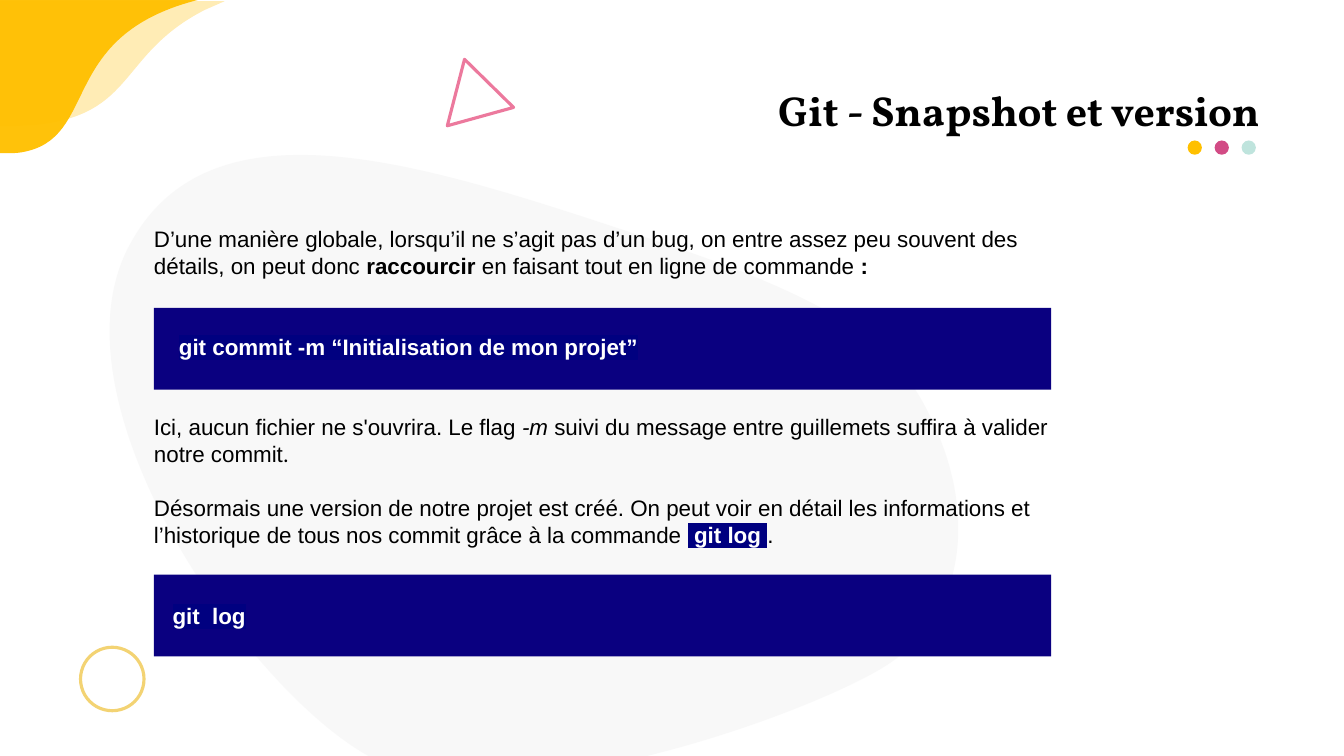
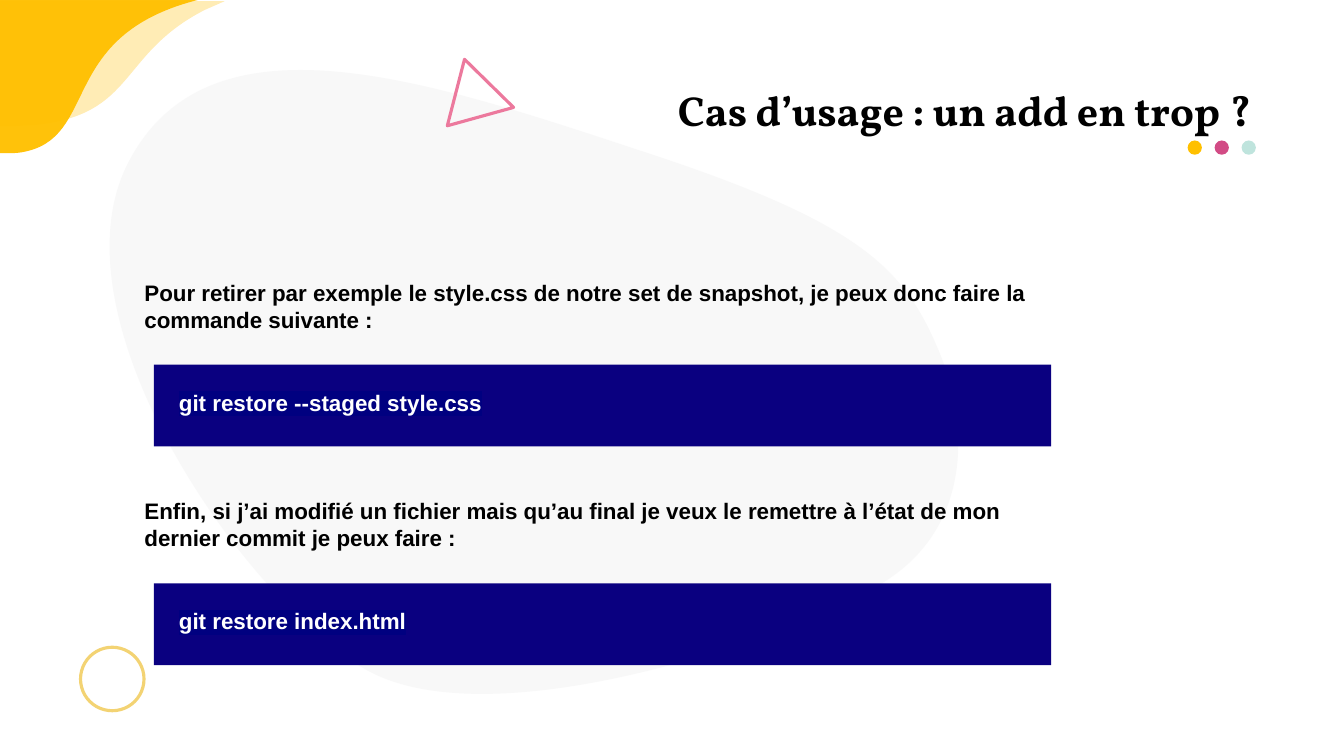
from collections import namedtuple

from lxml.etree import Element, SubElement
from pptx import Presentation
from pptx.dml.color import RGBColor
from pptx.enum.shapes import MSO_SHAPE as Preset
from pptx.enum.text import PP_ALIGN as Align
from pptx.oxml.ns import qn
from pptx.util import Cm, Pt

Box = namedtuple("Box", "left top width height")

COLORS = {
    "black": "000000",
    "white": "FFFFFF",
    "blob": "F2F2F2",
    "bar": "0A0080",
    "highlight": "000080",
    "yellow": "FFC000",
    "pink": "D24B85",
    "mint": "BFE4DD",
    "triangle": "EC799D",
    "ring": "F3D373",
}
BODY_FONT, TITLE_FONT = "Arial", "Vollkorn"
LINE_PITCH = 19.2
BOLD = {"bold": True}
CHIP = {"highlight": "highlight"}
COMMAND = {"color": "white", **BOLD, **CHIP}

BLOB = [
    (0.63, 7.98),
    (2.1, 5.64, 7.3, -0.07, 10.9, -0.02),
    (14.5, 0.06, 22.31, 3.99, 22.29, 8.42),
    (22.3, 12.82, 16.48, 13.78, 10.97, 14.8),
    (5.42, 15.83, 3.89, 15.37, 2.17, 14.02),
    (0.46, 12.7, -0.85, 10.32, 0.63, 7.98),
]
PALE_WAVE = [
    (5.43, 0),
    (5.23, 0, 5, 0.03, 4.8, 0.03),
    (2.23, 0.28, 2.69, 1.81, 0.5, 2.93),
    (0, 3.15),
    (5.66, 3.15),
    (5.66, 0),
]
DEEP_WAVE = [
    (4.83, 0),
    (4.7, 0, 4.57, 0, 4.45, 0.02),
    (2.44, 0.35, 3.58, 2.95, 0, 3.86),
    (4.98, 3.86),
    (4.98, 0),
]


def rgb(name):
    """Return the named colour."""
    return RGBColor.from_string(COLORS[name])


def paint(shape, fill=None, line=None, opacity=None, rotation=0):
    """Set the fill, outline, opacity and rotation of a shape."""
    shape.shadow.inherit = False
    shape.rotation = rotation
    if fill:
        shape.fill.solid()
        shape.fill.fore_color.rgb = rgb(fill)
    else:
        shape.fill.background()
    if line:
        shape.line.color.rgb = rgb(line)
        shape.line.width = Pt(2.25)
    else:
        shape.line.fill.background()
    if opacity:
        color = shape.element.spPr.find(qn("a:solidFill")).find(qn("a:srgbClr"))
        SubElement(color, qn("a:alpha"), val=str(opacity * 1000))


def add_preset(page, preset, box, **style):
    """Add a painted preset shape."""
    paint(page.shapes.add_shape(preset, *map(Cm, box)), **style)


def add_outline(page, outline, box, **style):
    """Draw an outline of lines and Bézier curves inside a box."""
    left, top, width, height = map(Cm, box)
    builder = page.shapes.build_freeform(left, top)
    builder.add_line_segments([(left + width, top), (left + width, top + height),
                               (left, top + height)])
    shape = builder.convert_to_shape()
    track = next(shape.element.iter(qn("a:path")))
    for child in list(track):
        track.remove(child)
    for index, numbers in enumerate(outline):
        kind = "cubicBezTo" if len(numbers) == 6 else "lnTo" if index else "moveTo"
        segment = SubElement(track, qn(f"a:{kind}"))
        for x, y in zip(numbers[::2], numbers[1::2]):
            SubElement(segment, qn("a:pt"), x=str(int(Cm(x))), y=str(int(Cm(y))))
    SubElement(track, qn("a:close"))
    paint(shape, **style)


def add_span(para, text, size=16, font=BODY_FONT, color="black",
             bold=False, italic=False, highlight=None):
    """Add a formatted run to a paragraph."""
    span = para.add_run()
    span.text = text
    span.font.size, span.font.name = Pt(size), font
    span.font.bold, span.font.italic = bold, italic
    span.font.color.rgb = rgb(color)
    if highlight:
        mark = Element(qn("a:highlight"))
        SubElement(mark, qn("a:srgbClr"), val=COLORS[highlight])
        next(span._r.iter(qn("a:latin"))).addprevious(mark)


def add_text_frame(page, box, inset):
    """Add a wrapping text box and return its frame."""
    frame = page.shapes.add_textbox(*map(Cm, box)).text_frame
    frame.word_wrap = True
    frame.margin_left = frame.margin_right = Cm(0.25)
    frame.margin_top = frame.margin_bottom = Cm(inset)
    return frame


def add_body(page, box, *paragraphs):
    """Write paragraphs of (lines above, indent, spans)."""
    frame = add_text_frame(page, box, 0.25)
    for index, (lines_above, indent, spans) in enumerate(paragraphs):
        para = frame.add_paragraph() if index else frame.paragraphs[0]
        para.line_spacing = Pt(LINE_PITCH)
        para.space_before = Pt(LINE_PITCH * lines_above)
        para._p.get_or_add_pPr().set("marL", str(int(Cm(indent))))
        for text, style in spans:
            add_span(para, text, **style)


def add_title(page, box, title):
    """Add the right-aligned title and its three dots."""
    para = add_text_frame(page, box, 0.13).paragraphs[0]
    para.alignment = Align.RIGHT
    add_span(para, title, size=30, font=TITLE_FONT, bold=True)
    dots = page.shapes.add_group_shape()
    right = box.left + box.width
    for index, color in enumerate(("yellow", "pink", "mint")):
        dot = Box(right - 2.07 + 0.68 * index, box.top + 1.53, 0.36, 0.36)
        add_preset(dots, Preset.OVAL, dot, fill=color)


def add_page(deck, title, title_width, blob_top, bar_tops):
    """Add a page with its decoration, bars and title."""
    page = deck.slides.add_slide(deck.slide_layouts[6])
    add_outline(page, BLOB, Box(1.55, blob_top, 22.3, 15.37),
                fill="blob", opacity=49, rotation=208.7)
    for top in bar_tops:
        add_preset(page, Preset.RECTANGLE, Box(3.88, top, 22.61, 2.06), fill="bar")
    waves = page.shapes.add_group_shape()
    add_outline(waves, PALE_WAVE, Box(0, 0.03, 5.66, 3.15),
                fill="yellow", opacity=29, rotation=180)
    add_outline(waves, DEEP_WAVE, Box(0, 0, 4.98, 3.86),
                fill="yellow", opacity=96, rotation=180)
    add_preset(page, Preset.ISOSCELES_TRIANGLE, Box(11.35, 1.77, 1.73, 1.5),
               line="triangle", rotation=104.5)
    add_preset(page, Preset.OVAL, Box(2.03, 16.31, 1.6, 1.6), line="ring")
    add_title(page, Box(32 - title_width, 2.01, title_width, 2.82), title)
    return page


def add_snapshot_page(deck):
    """Build the page on snapshots and versions."""
    page = add_page(deck, "Git - Snapshot et version", 13.92, 4.45, (14.48, 7.76))
    add_body(
        page, Box(3.63, 5.43, 23.09, 10.08),
        (0, 0, [
            ("D’une manière globale, lorsqu’il ne s’agit pas d’un bug, on entre assez "
             "peu souvent des détails, on peut donc ", {}),
            ("raccourcir ", BOLD),
            ("en faisant tout en ligne de commande ", {}),
            (":", BOLD),
        ]),
        (2, 0.63, [("git commit -m “Initialisation de mon projet”", COMMAND)]),
        (2, 0, [
            ("Ici, aucun fichier ne s'ouvrira. Le flag ", {}),
            ("-m ", {"italic": True}),
            ("suivi du message entre guillemets suffira à valider notre commit", {}),
            (".", {"font": "Calibri"}),
        ]),
        (1, 0, [
            ("Désormais une version de notre projet est créé. On peut voir en détail "
             "les informations et l’historique de tous nos commit grâce à la "
             "commande ", {}),
            (" ", CHIP),
            ("git log", COMMAND),
            (" ", CHIP),
            (".", {}),
        ]),
        (2, 0.47, [("git  log", COMMAND)]),
    )


def add_restore_page(deck):
    """Build the page on undoing an add."""
    page = add_page(deck, "Cas d’usage : un add en trop ? ", 18.03, 2.31, (14.7, 9.19))
    steps = [
        (9.55, "git restore --staged style.css",
         6.78, "Pour retirer par exemple le style.css de notre set de snapshot, "
               "je peux donc faire la commande suivante :"),
        (15.06, "git restore index.html",
         12.27, "Enfin, si j’ai modifié un fichier mais qu’au final je veux le "
                "remettre à l’état de mon dernier commit je peux faire :"),
    ]
    for command_top, command, text_top, text in steps:
        add_body(page, Box(3.63, command_top, 23.09, 1.22),
                 (0, 0.63, [(command, COMMAND)]))
        add_body(page, Box(3.39, text_top, 23.09, 1.22), (0, 0, [(text, BOLD)]))


def main():
    """Build and save the deck."""
    deck = Presentation()
    deck.slide_width, deck.slide_height = Cm(33.87), Cm(19.05)
    add_snapshot_page(deck)
    add_restore_page(deck)
    deck.save("out.pptx")


if __name__ == "__main__":
    main()
